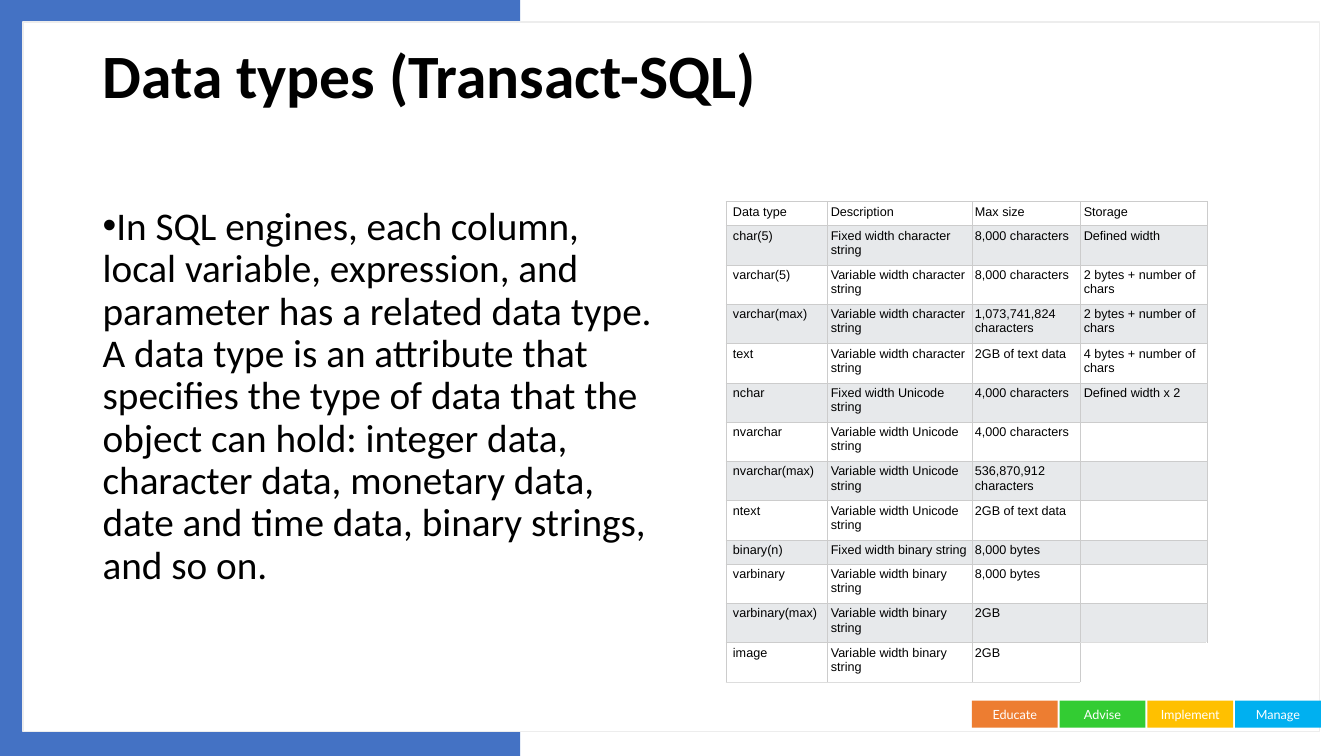
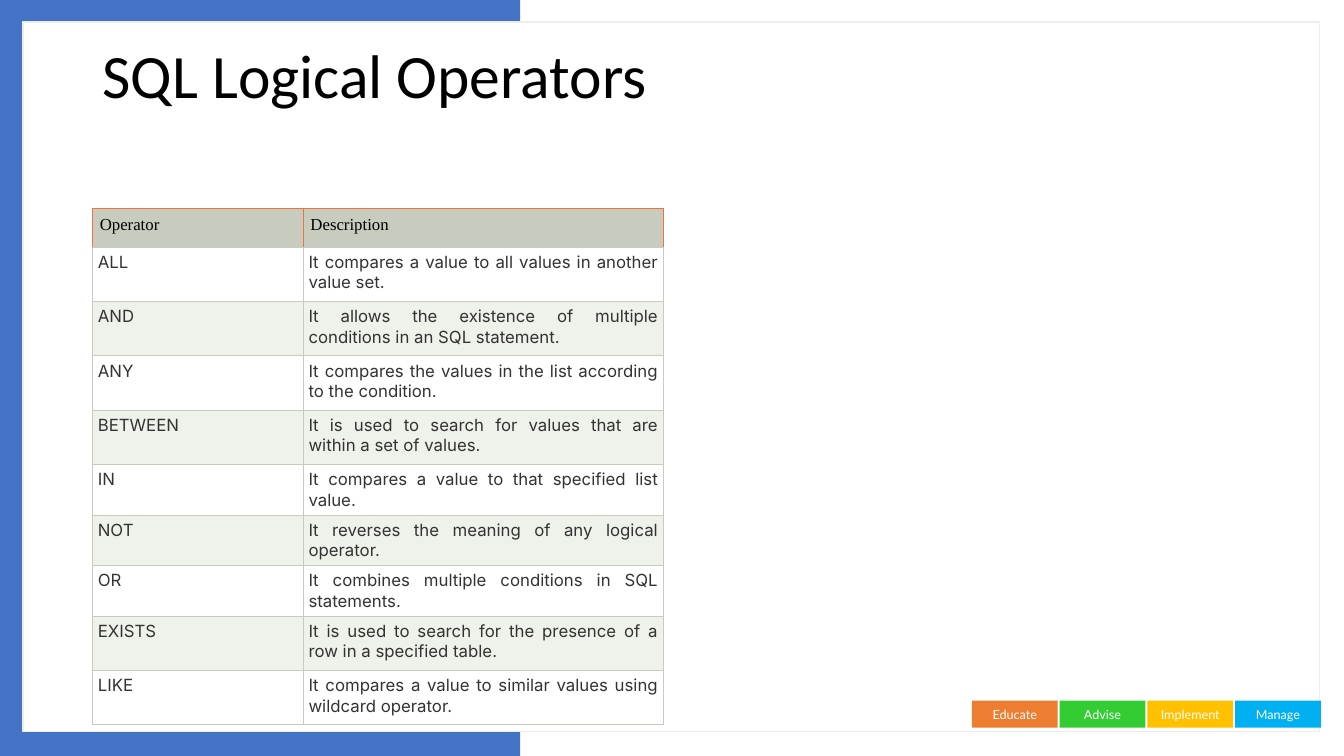
"""Build two slides on SQL data types and logical operators."""
from lxml import etree
from pptx import Presentation
from pptx.dml.color import RGBColor
from pptx.enum.shapes import MSO_SHAPE
from pptx.enum.text import MSO_ANCHOR, PP_ALIGN
from pptx.oxml.ns import qn
from pptx.util import Inches, Pt

RECT = MSO_SHAPE.RECTANGLE
MIDDLE = MSO_ANCHOR.MIDDLE
LEFT, CENTER, JUSTIFY = PP_ALIGN.LEFT, PP_ALIGN.CENTER, PP_ALIGN.JUSTIFY

BLACK = RGBColor(0x00, 0x00, 0x00)
WHITE = RGBColor(0xFF, 0xFF, 0xFF)
INK = RGBColor(0x33, 0x33, 0x33)
BLUE = RGBColor(0x44, 0x72, 0xC4)
FRAME = RGBColor(0xED, 0xED, 0xED)
SKY = RGBColor(0x00, 0xB0, 0xF0)
GOLD = RGBColor(0xFF, 0xC0, 0x00)
GREEN = RGBColor(0x33, 0xCC, 0x33)
ORANGE = RGBColor(0xED, 0x7D, 0x31)
SILVER = RGBColor(0xCC, 0xCC, 0xCC)
PALE = RGBColor(0xDD, 0xDD, 0xDD)
MIST = RGBColor(0xE7, 0xE9, 0xEB)
SAGE = RGBColor(0xC7, 0xCC, 0xBE)
LEAF = RGBColor(0xEF, 0xF1, 0xEB)
CORAL = RGBColor(0xF0, 0x72, 0x3C)

TABS = [("Educate", ORANGE), ("Advise", GREEN), ("Implement", GOLD), ("Manage", SKY)]
TITLES = [("Data types (Transact-SQL)", True), ("SQL Logical Operators", False)]
BODY = (
    "In SQL engines, each column, local variable, expression, and parameter has a "
    "related data type. A data type is an attribute that specifies the type of data "
    "that the object can hold: integer data, character data, monetary data, date and "
    "time data, binary strings, and so on."
)
TYPES = [
    ("Data type", "Description", "Max size", "Storage"),
    ("char(5)", "Fixed width character string", "8,000 characters", "Defined width"),
    ("varchar(5)", "Variable width character string", "8,000 characters", "2 bytes + number of chars"),
    ("varchar(max)", "Variable width character string", "1,073,741,824 characters", "2 bytes + number of chars"),
    ("text", "Variable width character string", "2GB of text data", "4 bytes + number of chars"),
    ("nchar", "Fixed width Unicode string", "4,000 characters", "Defined width x 2"),
    ("nvarchar", "Variable width Unicode string", "4,000 characters", ""),
    ("nvarchar(max)", "Variable width Unicode string", "536,870,912 characters", ""),
    ("ntext", "Variable width Unicode string", "2GB of text data", ""),
    ("binary(n)", "Fixed width binary string", "8,000 bytes", ""),
    ("varbinary", "Variable width binary string", "8,000 bytes", ""),
    ("varbinary(max)", "Variable width binary string", "2GB", ""),
    ("image", "Variable width binary string", "2GB", ""),
]
LOGIC = [
    ("Operator", "Description"),
    ("ALL", "It compares a value to all values in another value set."),
    ("AND", "It allows the existence of multiple conditions in an SQL statement."),
    ("ANY", "It compares the values in the list according to the condition."),
    ("BETWEEN", "It is used to search for values that are within a set of values."),
    ("IN", "It compares a value to that specified list value."),
    ("NOT", "It reverses the meaning of any logical operator."),
    ("OR", "It combines multiple conditions in SQL statements."),
    ("EXISTS", "It is used to search for the presence of a row in a specified table."),
    ("LIKE", "It compares a value to similar values using wildcard operator."),
]


def add_grid(slide, rows, left, top, widths, heights):
    """Add a plain table and return it."""
    frame = slide.shapes.add_table(
        len(rows), len(widths), Inches(left), Inches(top),
        Inches(sum(widths)), Inches(sum(heights)))
    table = frame.table
    table.first_row = table.horz_banding = False
    for col, width in zip(table.columns, widths):
        col.width = Inches(width)
    for row, height in zip(table.rows, heights):
        row.height = Inches(height)
    return table


def set_cell(cell, text, edges, fill, pads, font, size, color, align):
    """Fill one cell; edges maps L, R, T and B to line colours."""
    props = cell._tc.get_or_add_tcPr()
    for side, tint in edges.items():
        line = etree.SubElement(props, qn(f"a:ln{side}"), w=str(Pt(0.6)))
        solid = etree.SubElement(line, qn("a:solidFill"))
        etree.SubElement(solid, qn("a:srgbClr"), val=str(tint))
    cell.fill.solid()
    cell.fill.fore_color.rgb = fill
    cell.margin_left, cell.margin_right = Inches(pads[0]), Inches(pads[1])
    cell.margin_top = cell.margin_bottom = Inches(pads[1])
    cell.text = text
    para = cell.text_frame.paragraphs[0]
    para.alignment = align
    para.font.name, para.font.size = font, Pt(size)
    para.font.color.rgb = color
    if not text:
        etree.SubElement(para._p, qn("a:endParaRPr"), sz=str(size * 100))


deck = Presentation()
deck.slide_width, deck.slide_height = Inches(13.33), Inches(7.5)
slides = []
for title, bold in TITLES:
    slide = deck.slides.add_slide(deck.slide_layouts[6])
    slides.append(slide)

    boxes = [("", BLUE, 0, 0, 5.16, 7.5), ("", WHITE, 0.23, 0.22, 12.86, 7.04)]
    boxes += [(name, tint, 9.64 + 0.87 * i, 6.95, 0.85, 0.27)
              for i, (name, tint) in enumerate(TABS)]
    for name, tint, *place in boxes:
        box = slide.shapes.add_shape(RECT, *map(Inches, place))
        box.shadow.inherit = False
        box.fill.solid()
        box.fill.fore_color.rgb = tint
        if tint == WHITE:
            box.line.color.rgb = FRAME
            box.line.width = Pt(1)
        else:
            box.line.fill.background()
        if name:
            box.text_frame.text = name
            box.text_frame.vertical_anchor = MIDDLE
            para = box.text_frame.paragraphs[0]
            para.alignment = CENTER
            para.font.name, para.font.size = "Lato", Pt(9)
            para.font.color.rgb = WHITE

    head = slide.shapes.add_textbox(Inches(0.92), Inches(0.4), Inches(11.5), Inches(0.8))
    head.text_frame.word_wrap = True
    head.text_frame.text = title
    para = head.text_frame.paragraphs[0]
    para.line_spacing = 0.9
    para.font.name, para.font.size, para.font.bold = "Calibri", Pt(44), bold
    para.font.color.rgb = BLACK

body = slides[0].shapes.add_textbox(Inches(0.92), Inches(2), Inches(5.67), Inches(4.76))
body.text_frame.word_wrap = True
body.text_frame.text = BODY
para = body.text_frame.paragraphs[0]
para.line_spacing, para.space_after = 0.9, Pt(6)
props = para._p.get_or_add_pPr()
props.set("marL", "0")
props.set("indent", str(-Inches(0.25)))
etree.SubElement(props, qn("a:buFont"), typeface="Arial")
etree.SubElement(props, qn("a:buChar"), char="•")
para.font.name, para.font.size = "Calibri", Pt(28)
para.font.color.rgb = BLACK

heights = [0.24 if r in (0, 9) else 0.39 for r in range(len(TYPES))]
table = add_grid(slides[0], TYPES, 7.2, 2, [1.01, 1.43, 1.08, 1.25], heights)
last = len(TYPES) - 1
for r, row in enumerate(TYPES):
    for c, text in enumerate(row):
        edges = dict.fromkeys("LRTB", SILVER)
        if r == last:
            edges["B"] = PALE
        if c == 3 and r == last - 1:
            edges["B"] = PALE
        if c == 3 and r == last:
            edges = {"L": SILVER, "T": PALE}
        fill = MIST if r % 2 else WHITE
        pads = (0.03 if c else 0.07, 0.03)
        set_cell(table.cell(r, c), text, edges, fill, pads, "Arial", 9, BLACK, LEFT)

heights = [0.34 if r in (5, 6, 7) else 0.54 for r in range(len(LOGIC))]
heights[0] = 0.38
table = add_grid(slides[1], LOGIC, 0.92, 2.07, [2.09, 3.57], heights)
for r, row in enumerate(LOGIC):
    for c, text in enumerate(row):
        edges = dict.fromkeys("LRTB", SAGE)
        if r == 0:
            edges.update(dict.fromkeys("LRT", CORAL))
            style = (SAGE, (0.07, 0.07), "Times New Roman", 12, BLACK, LEFT)
        else:
            fill = WHITE if r % 2 else LEAF
            style = (fill, (0.05, 0.05), "Inter", 12, INK, JUSTIFY)
        set_cell(table.cell(r, c), text, edges, *style)

deck.save("out.pptx")
